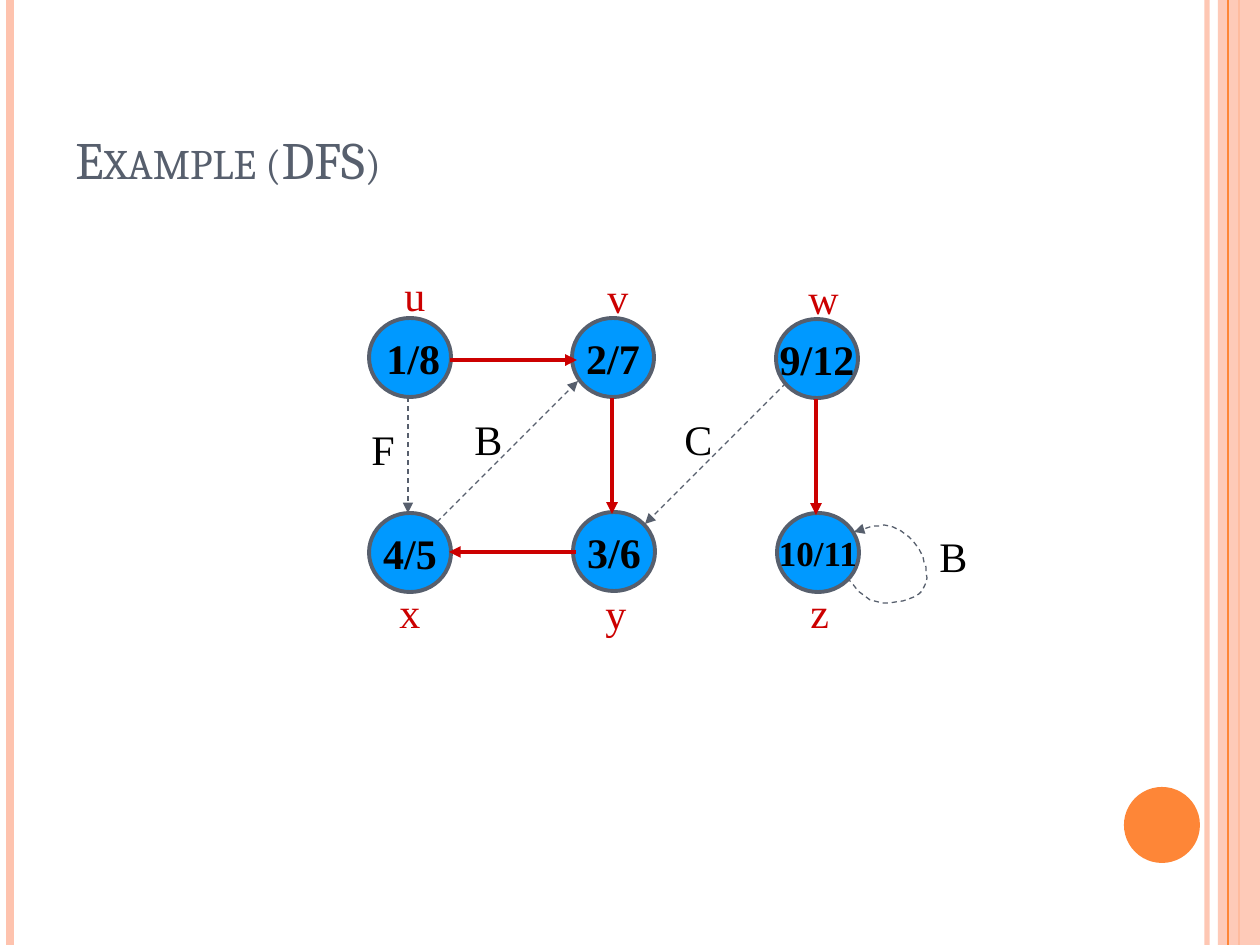
from lxml import etree
from pptx import Presentation
from pptx import util as u
from pptx.dml.color import RGBColor
from pptx.enum import dml, shapes, text
from pptx.oxml.ns import qn

PX = u.Inches(1) / 126
WIDTH, HEIGHT = 1260, 945
NODE_WIDTH, NODE_HEIGHT = 82, 79
LABEL_HEIGHT = 63
BODY_FONT = "Times New Roman"
COLORS = {
    "peach": "FEC3AE",
    "orange": "FE8637",
    "slate": "575F6D",
    "node": "0099FF",
    "red": "CC0000",
    "black": "000000",
}
STRIPES = [
    (1207, "peach", 3, 93),
    (10, "peach", 4.5, 100),
    (1239, "orange", 1.5, 100),
]
NODES = [
    (369, 513, "4/5", 24),
    (573, 512, "3/6", 24),
    (777, 513, "10/11", 20),
    (572, 318, "2/7", 24),
    (776, 319, "9/12", 24),
]
TREE_EDGES = [
    (576, 552, 449, 552),
    (612, 398, 612, 514),
    (816, 399, 816, 515),
    (450, 360, 577, 360),
]
OTHER_EDGES = [
    (408, 397, 408, 513),
    (437, 522, 578, 381),
    (786, 383, 645, 524),
]
LABELS = [
    (392, 263, 47, "u", "red"),
    (595, 265, 47, "v", "red"),
    (796, 266, 55, "w", "red"),
    (387, 580, 47, "x", "red"),
    (593, 581, 47, "y", "red"),
    (798, 580, 44, "z", "red"),
    (462, 407, 53, "B", "black"),
    (359, 417, 49, "F", "black"),
    (672, 407, 53, "C", "black"),
    (927, 524, 53, "B", "black"),
]
LOOP_START = (847, 578)
LOOP_CURVES = [
    ((857, 590), (867, 601), (878, 602)),
    ((891, 605), (916, 599), (922, 591)),
    ((930, 582), (926, 563), (921, 553)),
    ((916, 543), (903, 530), (893, 527)),
    ((882, 523), (868, 527), (854, 532)),
]


def px(*lengths):
    return [u.Emu(round(length * PX)) for length in lengths]


def rgb(name):
    return RGBColor.from_string(COLORS[name])


def set_opacity(shape, percent):
    for color in shape._element.spPr.iter(qn("a:srgbClr")):
        etree.SubElement(color, qn("a:alpha"), val=str(percent * 1000))


def style_line(shape, color, width, dashed=False, arrow=False):
    shape.line.color.rgb = rgb(color)
    shape.line.width = u.Pt(width)
    if dashed:
        shape.line.dash_style = dml.MSO_LINE.DASH
    if arrow:
        line = shape._element.spPr.find(qn("a:ln"))
        etree.SubElement(line, qn("a:tailEnd"), type="triangle")


def add_line(slide, ends, color, width, **style):
    line = slide.shapes.add_connector(shapes.MSO_CONNECTOR.STRAIGHT, *px(*ends))
    style_line(line, color, width, **style)
    etree.SubElement(line._element.spPr, qn("a:effectLst"))
    return line


def add_filled(slide, kind, box, color):
    shape = slide.shapes.add_shape(kind, *px(*box))
    shape.shadow.inherit = False
    shape.fill.solid()
    shape.fill.fore_color.rgb = rgb(color)
    shape.line.fill.background()
    return shape


def add_run(paragraph, words, size, color, font=BODY_FONT, bold=False):
    run = paragraph.add_run()
    run.text = words
    run.font.name = font
    run.font.size = u.Pt(size)
    run.font.bold = bold
    run.font.color.rgb = rgb(color)
    return run


def add_label(slide, left, top, width, words, color, bold=False):
    box = slide.shapes.add_textbox(*px(left, top, width, LABEL_HEIGHT))
    frame = box.text_frame
    frame.word_wrap = False
    frame.auto_size = text.MSO_AUTO_SIZE.SHAPE_TO_FIT_TEXT
    add_run(frame.paragraphs[0], words, 24, color, bold=bold)


def add_circle(slide, left, top):
    circle = add_filled(slide, shapes.MSO_SHAPE.OVAL,
                        (left, top, NODE_WIDTH, NODE_HEIGHT), "node")
    style_line(circle, "slate", 2.25)
    return circle


def add_node(slide, left, top, times, size):
    frame = add_circle(slide, left, top).text_frame
    frame.word_wrap = False
    frame.vertical_anchor = text.MSO_ANCHOR.MIDDLE
    paragraph = frame.paragraphs[0]
    paragraph.alignment = text.PP_ALIGN.CENTER
    add_run(paragraph, times, size, "black", bold=True)


def curve_points(start, curves, steps=8):
    for first, second, end in curves:
        for step in range(1, steps + 1):
            t = step / steps
            weights = ((1 - t) ** 3, 3 * t * (1 - t) ** 2, 3 * t * t * (1 - t), t ** 3)
            corners = (start, first, second, end)
            yield tuple(sum(w * corner[axis] for w, corner in zip(weights, corners))
                        for axis in (0, 1))
        start = end


def add_loop(slide):
    builder = slide.shapes.build_freeform(*LOOP_START, scale=PX)
    builder.add_line_segments(curve_points(LOOP_START, LOOP_CURVES), close=False)
    loop = builder.convert_to_shape()
    loop.shadow.inherit = False
    loop.fill.background()
    style_line(loop, "slate", 0.75, dashed=True, arrow=True)


def add_frame(slide):
    for x, color, width, opacity in STRIPES:
        stripe = add_line(slide, (x, 0, x, HEIGHT), color, width)
        if opacity < 100:
            set_opacity(stripe, opacity)
    band = add_filled(slide, shapes.MSO_SHAPE.RECTANGLE, (1218, 0, 42, HEIGHT), "peach")
    set_opacity(band, 87)
    add_line(slide, (1228, 0, 1228, HEIGHT), "orange", 0.75)
    add_filled(slide, shapes.MSO_SHAPE.OVAL, (1124, 787, 76, 76), "orange")


def add_title(slide):
    frame = slide.shapes.add_textbox(*px(63, 38, 1029, 158)).text_frame
    frame.word_wrap = True
    frame.vertical_anchor = text.MSO_ANCHOR.BOTTOM
    run = add_run(frame.paragraphs[0], "Example (DFS)", 30, "slate", font="Cambria")
    run._r.get_or_add_rPr().set("cap", "small")


def main():
    presentation = Presentation()
    presentation.slide_width, presentation.slide_height = px(WIDTH, HEIGHT)
    slide = presentation.slides.add_slide(presentation.slide_layouts[6])
    add_frame(slide)
    add_title(slide)
    add_circle(slide, 369, 318)
    add_label(slide, 374, 326, 79, "1/8", "black", bold=True)
    for node in NODES:
        add_node(slide, *node)
    for ends in TREE_EDGES:
        add_line(slide, ends, "red", 2.25, arrow=True)
    for ends in OTHER_EDGES:
        add_line(slide, ends, "slate", 0.75, dashed=True, arrow=True)
    add_loop(slide)
    for label in LABELS:
        add_label(slide, *label)
    presentation.save("out.pptx")


if __name__ == "__main__":
    main()
